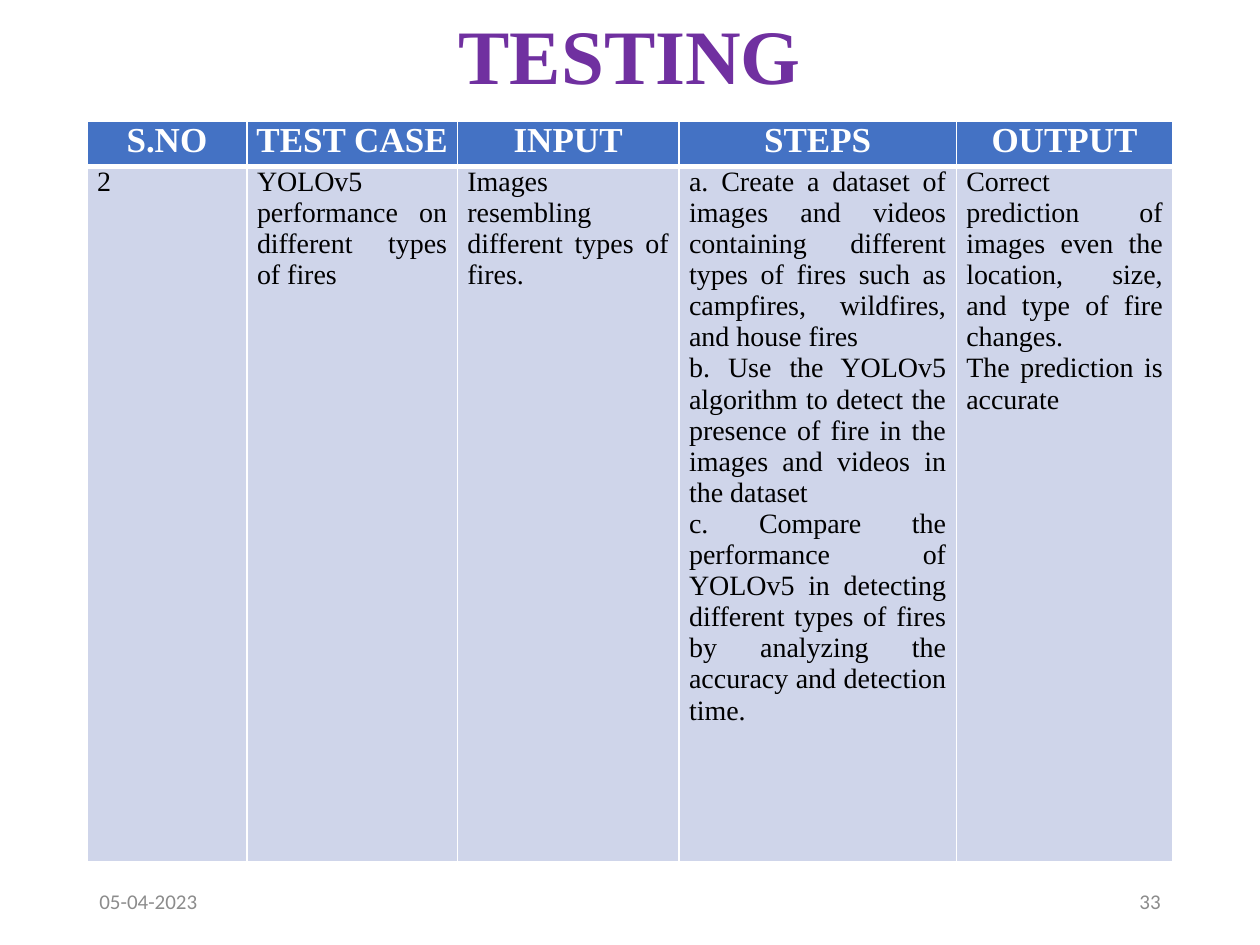
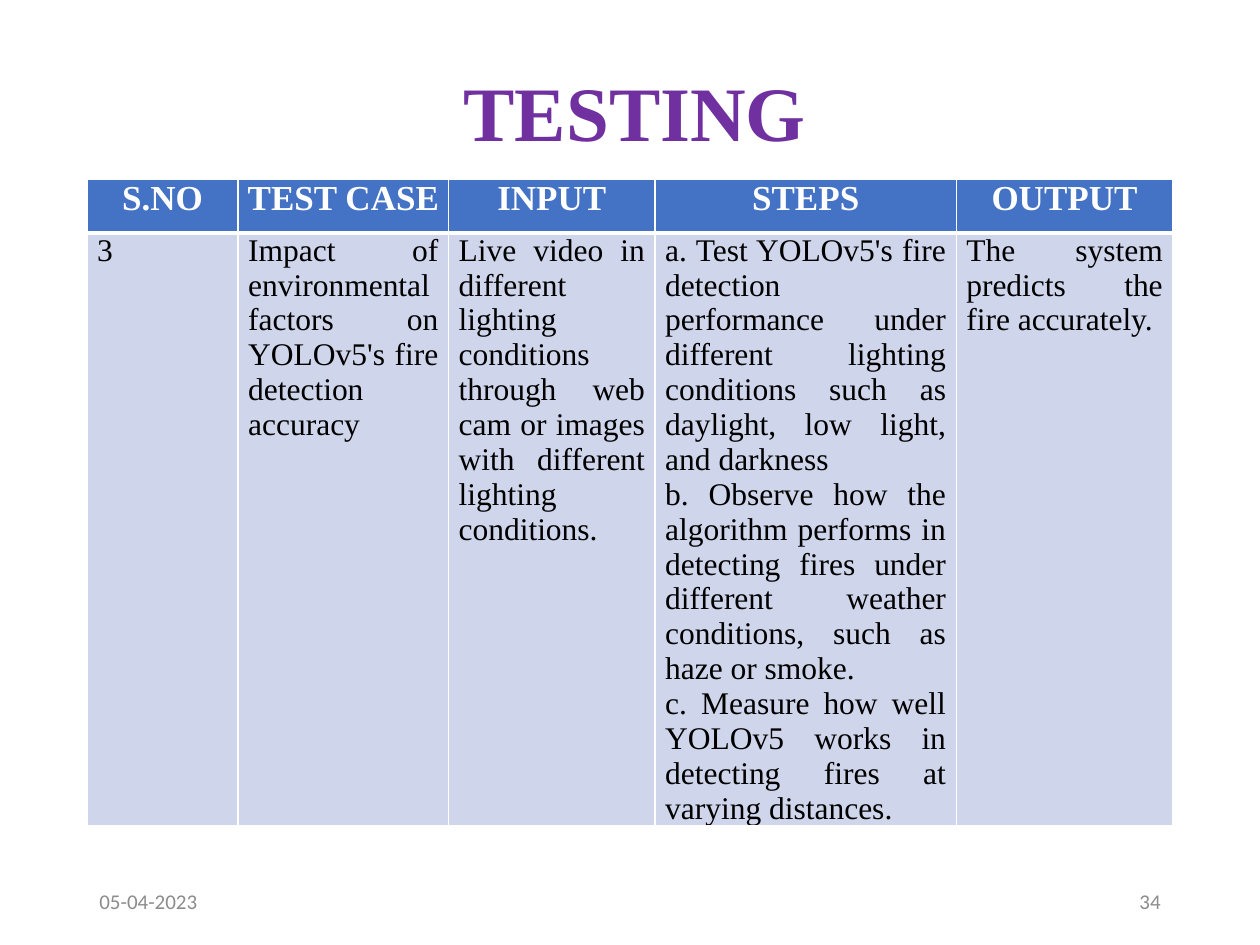
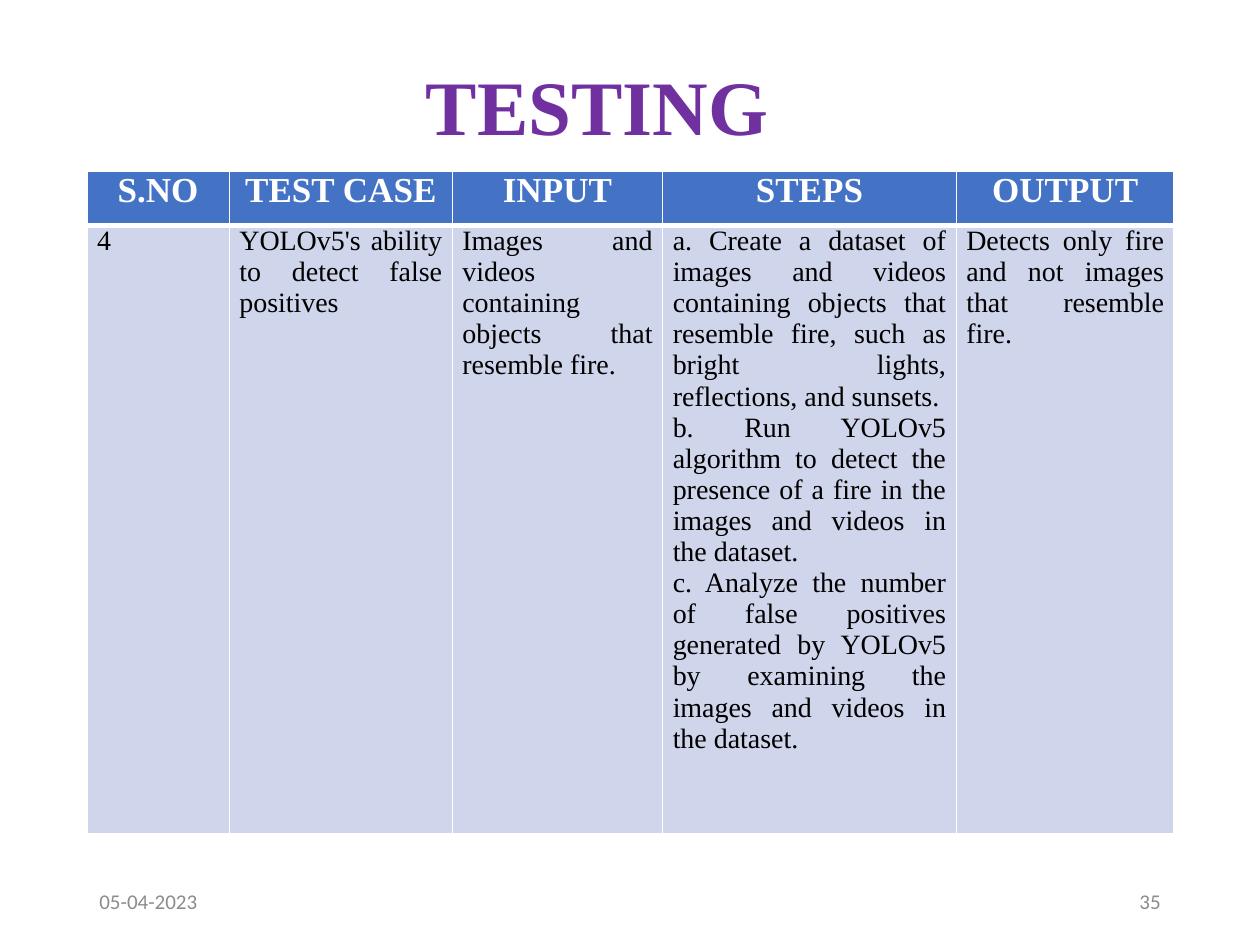
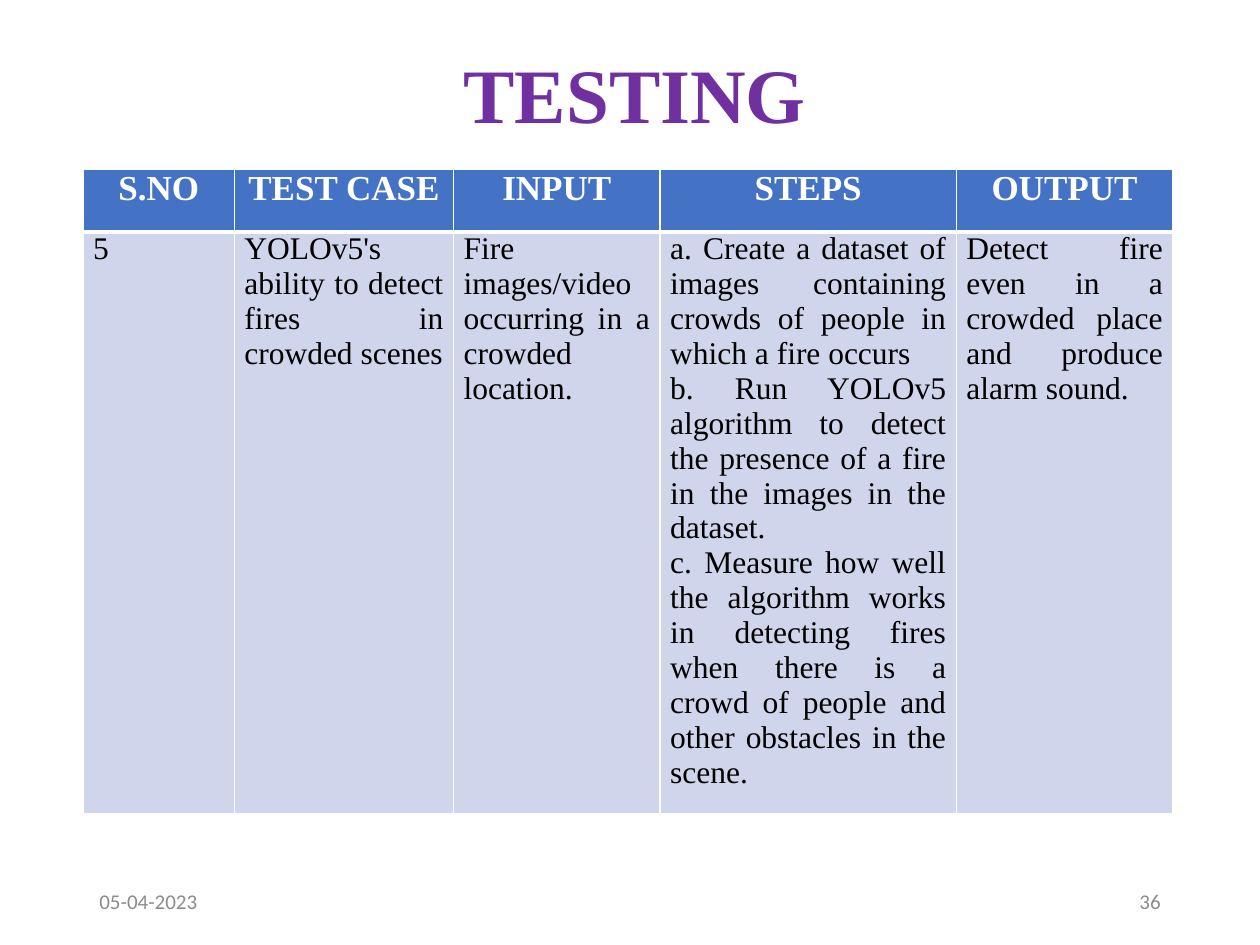
from dataclasses import dataclass

from lxml.etree import SubElement
from pptx import Presentation
from pptx.dml.color import RGBColor
from pptx.enum.text import MSO_ANCHOR, MSO_AUTO_SIZE, PP_ALIGN
from pptx.oxml.ns import qn
from pptx.util import Inches, Pt


@dataclass(frozen=True)
class Theme:
    heading_font: str = "Times New Roman"
    footer_font: str = "Calibri"
    title_color: str = "7030A0"
    header_fill: str = "4472C4"
    body_fill: str = "CFD5EA"
    white: str = "FFFFFF"
    black: str = "000000"
    footer_color: str = "8C8C8C"
    title_size: int = 44
    header_size: int = 20
    footer_size: int = 12
    thin_border: int = 1
    thick_border: int = 3


@dataclass(frozen=True)
class TestCase:
    """One test case slide; title_indent of None centres the title."""
    title_top: float
    title_height: float
    title_indent: float | None
    table_left: float
    table_top: float
    columns: tuple
    rows: tuple
    body_size: int
    entries: tuple


THEME = Theme()
MARGIN = 0.69
CONTENT_WIDTH = 8.62
FOOTER_TOP, FOOTER_WIDTH, FOOTER_HEIGHT = 6.95, 2.25, 0.4
DATE = "05-04-2023"
FIRST_SLIDE_NUMBER = 33
HEADERS = ("S.NO", "TEST CASE", "INPUT", "STEPS", "OUTPUT")

TEST_CASES = (
    TestCase(
        0.18, 0.58, None, 0.69, 0.96,
        (1.27, 1.67, 1.76, 2.2, 1.72), (0.36, 5.52), 16,
        (
            "2",
            "YOLOv5 performance on different types of fires",
            "Images resembling different types of fires.",
            "a. Create a dataset of images and videos containing different types "
            "of fires such as campfires, wildfires, and house fires\n"
            "b. Use the YOLOv5 algorithm to detect the presence of fire in the "
            "images and videos in the dataset\n"
            "c. Compare the performance of YOLOv5 in detecting different types "
            "of fires by analyzing the accuracy and detection time.",
            "Correct prediction of images even the location, size, and type of "
            "fire changes.\nThe prediction is accurate",
        ),
    ),
    TestCase(
        0.4, 1.05, 2.89, 0.69, 1.42,
        (1.2, 1.67, 1.64, 2.39, 1.72), (0.43, 4.53), 18,
        (
            "3",
            "Impact of environmental factors on YOLOv5's fire detection accuracy",
            "Live video in different lighting conditions through web cam or "
            "images with different lighting conditions.",
            "a. Test YOLOv5's fire detection performance under different "
            "lighting conditions such as daylight, low light, and darkness\n"
            "b. Observe how the algorithm performs in detecting fires under "
            "different weather conditions, such as haze or smoke.\n"
            "c. Measure how well YOLOv5 works in detecting fires at varying "
            "distances.",
            "The system predicts the fire accurately.",
        ),
    ),
    TestCase(
        0.4, 0.96, 2.59, 0.69, 1.36,
        (1.13, 1.77, 1.67, 2.33, 1.73), (0.43, 4.83), 16,
        (
            "4",
            "YOLOv5's ability to detect false positives",
            "Images and videos containing objects that resemble fire.",
            "a. Create a dataset of images and videos containing objects that "
            "resemble fire, such as bright lights, reflections, and sunsets.\n"
            "b. Run YOLOv5 algorithm to detect the presence of a fire in the "
            "images and videos in the dataset.\n"
            "c. Analyze the number of false positives generated by YOLOv5 by "
            "examining the images and videos in the dataset.",
            "Detects only fire and not images that resemble fire.",
        ),
    ),
    TestCase(
        0.23, 1.11, 2.89, 0.66, 1.34,
        (1.2, 1.74, 1.64, 2.35, 1.72), (0.5, 4.62), 18,
        (
            "5",
            "YOLOv5's ability to detect fires in crowded scenes",
            "Fire images/video occurring in a crowded location.",
            "a. Create a dataset of images containing crowds of people in which "
            "a fire occurs\n"
            "b. Run YOLOv5 algorithm to detect the presence of a fire in the "
            "images in the dataset.\n"
            "c. Measure how well the algorithm works in detecting fires when "
            "there is a crowd of people and other obstacles in the scene.",
            "Detect fire even in a crowded place and produce alarm sound.",
        ),
    ),
)


def write_text(text_frame, text, *, size, color, font=THEME.heading_font,
               bold=False, align=PP_ALIGN.LEFT, line_spacing=None):
    """Fill a text frame, one paragraph for each line of text."""
    text_frame.text = text
    for paragraph in text_frame.paragraphs:
        paragraph.alignment = align
        if line_spacing:
            paragraph.line_spacing = line_spacing
        for run in paragraph.runs:
            run.font.name = font
            run.font.size = Pt(size)
            run.font.bold = bold
            run.font.color.rgb = RGBColor.from_string(color)


def place_title(slide, test_case):
    title = slide.shapes.title
    title.left, title.top = Inches(MARGIN), Inches(test_case.title_top)
    title.width, title.height = Inches(CONTENT_WIDTH), Inches(test_case.title_height)
    text_frame = title.text_frame
    text_frame.auto_size = MSO_AUTO_SIZE.NONE
    text_frame.vertical_anchor = MSO_ANCHOR.MIDDLE
    centred = test_case.title_indent is None
    write_text(text_frame, "TESTING", size=THEME.title_size,
               color=THEME.title_color, bold=True, line_spacing=0.9,
               align=PP_ALIGN.CENTER if centred else PP_ALIGN.LEFT)
    if not centred:
        properties = text_frame.paragraphs[0]._p.get_or_add_pPr()
        properties.set("marL", str(Inches(test_case.title_indent)))
        properties.set("indent", "0")


def add_footer_text(slide, text, left, align):
    box = slide.shapes.add_textbox(Inches(left), Inches(FOOTER_TOP),
                                   Inches(FOOTER_WIDTH), Inches(FOOTER_HEIGHT))
    box.text_frame.word_wrap = True
    box.text_frame.vertical_anchor = MSO_ANCHOR.MIDDLE
    write_text(box.text_frame, text, size=THEME.footer_size,
               color=THEME.footer_color, font=THEME.footer_font, align=align)


def add_footer(slide, number):
    add_footer_text(slide, DATE, MARGIN, PP_ALIGN.LEFT)
    add_footer_text(slide, str(number), MARGIN + CONTENT_WIDTH - FOOTER_WIDTH,
                    PP_ALIGN.RIGHT)


def set_borders(cell, top, bottom):
    """Draw white borders; top and bottom are widths in points."""
    widths = {"L": THEME.thin_border, "R": THEME.thin_border, "T": top, "B": bottom}
    properties = cell._tc.get_or_add_tcPr()
    for side, width in widths.items():
        line = SubElement(properties, qn(f"a:ln{side}"), w=str(Pt(width)))
        fill = SubElement(line, qn("a:solidFill"))
        SubElement(fill, qn("a:srgbClr"), val=THEME.white)


def format_cell(cell, text, *, fill, side_margin, top, bottom, **text_format):
    set_borders(cell, top, bottom)
    cell.fill.solid()
    cell.fill.fore_color.rgb = RGBColor.from_string(fill)
    cell.margin_left = cell.margin_right = Inches(side_margin)
    cell.margin_top = cell.margin_bottom = 0
    write_text(cell.text_frame, text, **text_format)


def add_test_table(slide, test_case):
    frame = slide.shapes.add_table(
        len(test_case.rows), len(HEADERS),
        Inches(test_case.table_left), Inches(test_case.table_top),
        Inches(sum(test_case.columns)), Inches(sum(test_case.rows)))
    table = frame.table
    for row, height in zip(table.rows, test_case.rows):
        row.height = Inches(height)
    for index, width in enumerate(test_case.columns):
        table.columns[index].width = Inches(width)
        format_cell(table.cell(0, index), HEADERS[index],
                    fill=THEME.header_fill, side_margin=0.06,
                    top=THEME.thin_border, bottom=THEME.thick_border,
                    size=THEME.header_size, color=THEME.white, bold=True,
                    align=PP_ALIGN.CENTER)
        format_cell(table.cell(1, index), test_case.entries[index],
                    fill=THEME.body_fill, side_margin=0.08,
                    top=THEME.thick_border, bottom=THEME.thin_border,
                    size=test_case.body_size, color=THEME.black,
                    align=PP_ALIGN.JUSTIFY)


def main():
    presentation = Presentation()
    presentation.slide_width, presentation.slide_height = Inches(10), Inches(7.5)
    title_only = presentation.slide_layouts.get_by_name("Title Only")
    for number, test_case in enumerate(TEST_CASES, FIRST_SLIDE_NUMBER):
        slide = presentation.slides.add_slide(title_only)
        place_title(slide, test_case)
        add_test_table(slide, test_case)
        add_footer(slide, number)
    presentation.save("out.pptx")


if __name__ == "__main__":
    main()
